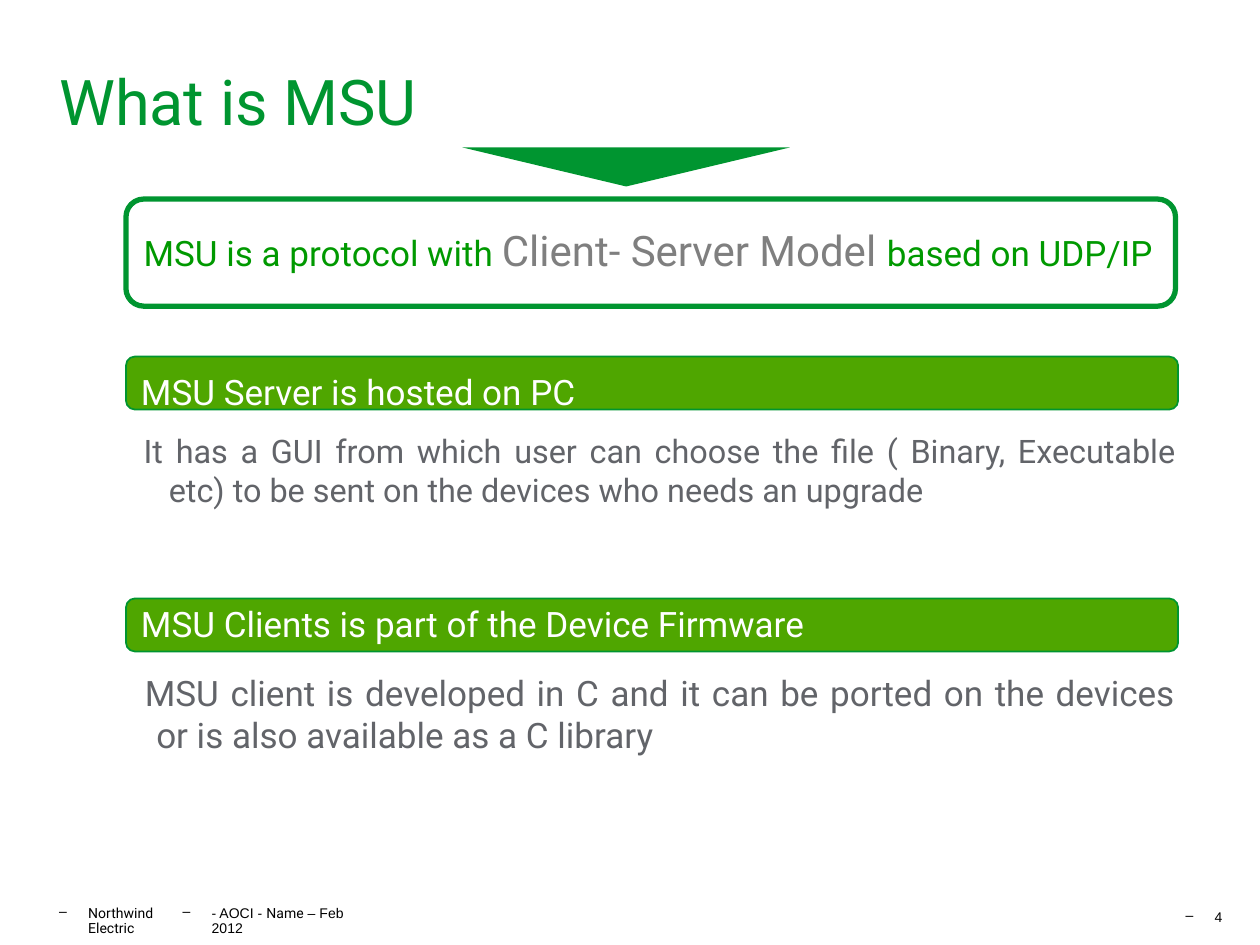
from pptx import Presentation
from pptx.dml.color import RGBColor
from pptx.enum.shapes import MSO_SHAPE
from pptx.enum.text import MSO_ANCHOR, PP_ALIGN
from pptx.oxml.ns import qn
from pptx.util import Inches, Pt

WHITE = RGBColor(0xFF, 0xFF, 0xFF)
BLACK = RGBColor(0, 0, 0)
GREEN = RGBColor(0x00, 0x95, 0x30)
BAR_GREEN = RGBColor(0x4F, 0xA6, 0x00)
TEXT_GREEN = RGBColor(0x00, 0x99, 0x00)
MID_GRAY = RGBColor(0x7F, 0x7F, 0x7F)
BODY_GRAY = RGBColor(0x62, 0x64, 0x69)


def set_frame(frame, anchor=MSO_ANCHOR.TOP, margins=(0, 0, 0, 0)):
    """Wrap the text; margins are left, top, right, bottom in inches."""
    frame.word_wrap = True
    frame.vertical_anchor = anchor
    (frame.margin_left, frame.margin_top,
     frame.margin_right, frame.margin_bottom) = map(Inches, margins)


def add_run(paragraph, text, size, color, font="Roboto"):
    run = paragraph.add_run()
    run.text = text
    run.font.size = Pt(size)
    run.font.name = font
    run.font.color.rgb = color


def set_indent(paragraph, left, first):
    properties = paragraph._p.get_or_add_pPr()
    properties.set("marL", str(Inches(left)))
    properties.set("indent", str(Inches(first)))
    return properties


def add_text_box(slide, box, anchor=MSO_ANCHOR.TOP):
    frame = slide.shapes.add_textbox(*map(Inches, box)).text_frame
    set_frame(frame, anchor)
    return frame.paragraphs[0]


def add_title(slide, box, text):
    add_run(add_text_box(slide, box, MSO_ANCHOR.MIDDLE), text, 36, GREEN)


def add_arrowhead(slide, box):
    left, top, width, height = map(Inches, box)
    builder = slide.shapes.build_freeform(left, top)
    builder.add_line_segments([(left + width, top), (left + width // 2, top + height)])
    arrowhead = builder.convert_to_shape()
    arrowhead.shadow.inherit = False
    arrowhead.fill.solid()
    arrowhead.fill.fore_color.rgb = GREEN
    arrowhead.line.fill.background()


def add_panel(slide, preset, box, line_width):
    panel = slide.shapes.add_shape(preset, *map(Inches, box))
    panel.shadow.inherit = False
    panel.line.color.rgb = GREEN
    panel.line.width = Pt(line_width)
    paragraph = panel.text_frame.paragraphs[0]
    paragraph.alignment = PP_ALIGN.LEFT
    paragraph.line_spacing = 0.93
    return panel


def add_definition(slide, box, parts):
    panel = add_panel(slide, MSO_SHAPE.ROUNDED_RECTANGLE, box, 3)
    panel.fill.background()
    set_frame(panel.text_frame, MSO_ANCHOR.MIDDLE, (0.1, 0.05, 0.1, 0.05))
    for text, size, color in parts:
        add_run(panel.text_frame.paragraphs[0], text, size, color)


def add_heading_bar(slide, box, text, text_top):
    bar = add_panel(slide, MSO_SHAPE.FLOWCHART_ALTERNATE_PROCESS, box, 1)
    bar.fill.solid()
    bar.fill.fore_color.rgb = BAR_GREEN
    set_frame(bar.text_frame, margins=(0.1, text_top, 0.1, 0))
    add_run(bar.text_frame.paragraphs[0], text, 20, WHITE)


def add_body(slide, box, text, size, left, first):
    paragraph = add_text_box(slide, box)
    paragraph.alignment = PP_ALIGN.JUSTIFY
    set_indent(paragraph, left, first)
    add_run(paragraph, text, size, BODY_GRAY)


def add_footer_item(slide, box, parts):
    paragraph = add_text_box(slide, box)
    paragraph.line_spacing = 0.93
    properties = set_indent(paragraph, 0.23, -0.23)
    bullet = properties.makeelement(qn("a:buChar"), {"char": "–"})
    properties.append(bullet)
    for text, font in parts:
        add_run(paragraph, text, 8, BLACK, font)


def main():
    presentation = Presentation()
    presentation.slide_width = Inches(10)
    presentation.slide_height = Inches(7.5)
    slide = presentation.slides.add_slide(presentation.slide_layouts[6])

    add_footer_item(slide, (0.47, 7.19, 0.99, 0.12), [("Northwind Electric", "Roboto")])
    add_footer_item(slide, (9.41, 7.22, 0.32, 0.08), [("4", "Arial")])
    add_footer_item(slide, (1.45, 7.19, 1.41, 0.12),
                    [("- AOCI - ", "Arial"), ("Name", "Roboto"), (" – Feb 2012", "Arial")])

    add_title(slide, (0.47, 0.17, 9.05, 1.26), "What is MSU")
    add_arrowhead(slide, (3.67, 1.17, 2.6, 0.31))
    add_definition(slide, (1, 1.58, 8.33, 0.85), [
        ("MSU is a protocol with ", 20, TEXT_GREEN),
        ("Client- Server Model ", 24, MID_GRAY),
        ("based on UDP/IP", 20, TEXT_GREEN),
    ])

    add_heading_bar(slide, (1, 2.83, 8.35, 0.42), "MSU Server is hosted on PC", 0.12)
    add_body(slide, (0.75, 3.42, 8.58, 0.75),
             "It has a GUI from which user can choose the file ( Binary, Executable etc) "
             "to be sent on the devices who needs an upgrade", 18.5, 0.59, -0.2)
    add_heading_bar(slide, (1, 4.75, 8.35, 0.42),
                    "MSU Clients is part of the Device Firmware", 0.04)
    add_body(slide, (0.75, 5.33, 8.58, 0.83),
             "MSU client is developed in C and it can be ported on the devices "
             "or is also available as a C library", 20, 0.49, -0.09)

    presentation.save("out.pptx")


if __name__ == "__main__":
    main()
